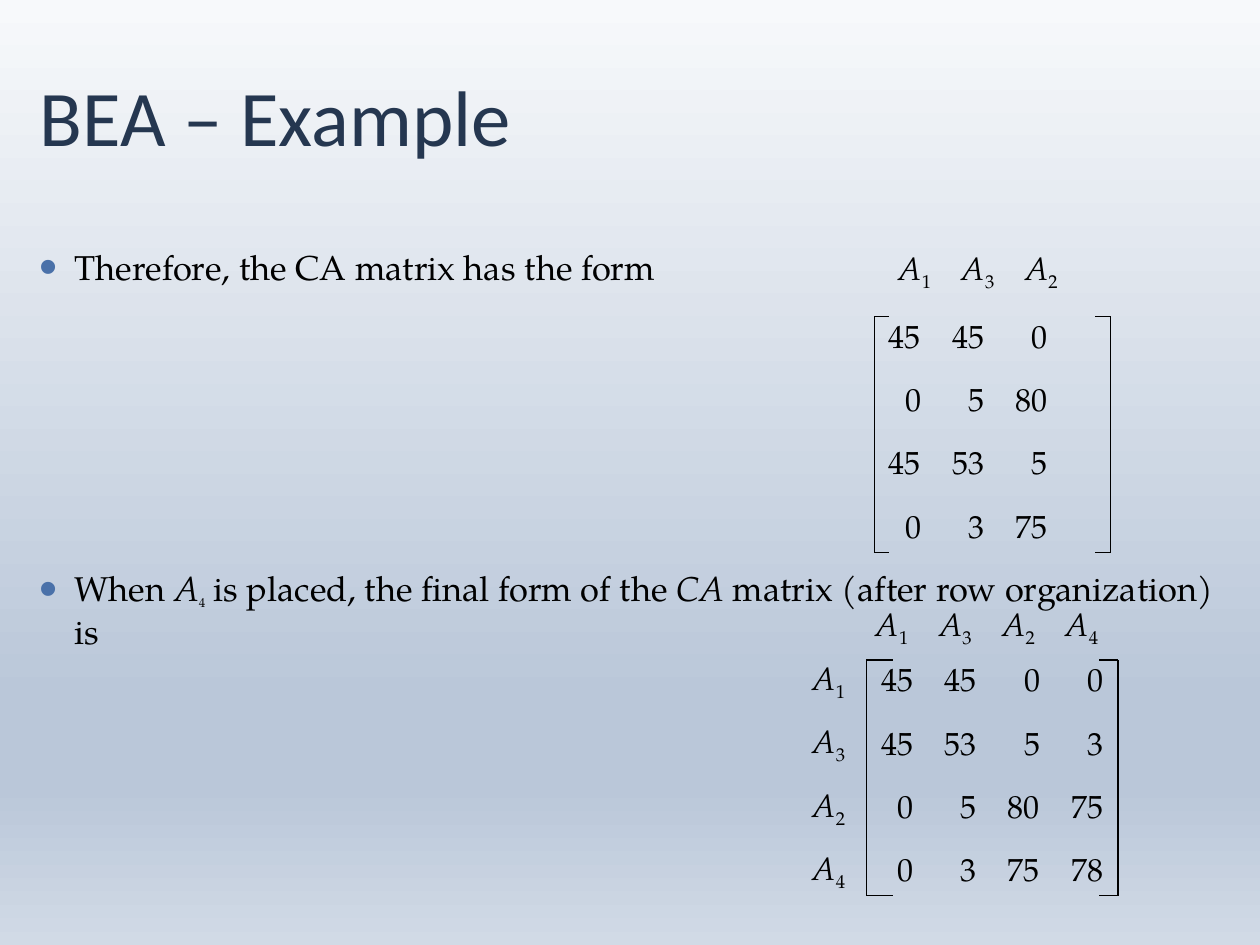
from lxml import etree
from pptx import Presentation
from pptx.dml.color import RGBColor
from pptx.enum.shapes import MSO_CONNECTOR as Connector
from pptx.enum.text import MSO_ANCHOR as Anchor, PP_ALIGN as Align
from pptx.oxml.ns import qn
from pptx.util import Pt

BLACK, NAVY, BLUE = "000000", "253750", "4A71A9"
SERIF, SANS = "TeX Gyre Pagella", "Calibri"
PITCH = 51.4  # distance between matrix rows and between columns
CELL_HEIGHT = 42


def color(value):
    return RGBColor.from_string(value)


def add_node(parent, tag, **attributes):
    return etree.SubElement(parent, qn(tag), attributes)


def attribute(number, sub_size=26):
    """Spans for an attribute name such as A1, with the number as a subscript."""
    return [("A", {"italic": True}), (number, {"size": Pt(sub_size), "sub": True})]


class SlideBuilder:
    def __init__(self, page):
        self.page = page

    def background(self, stops):
        fill = self.page.background.fill
        fill.gradient()
        fill.gradient_angle = 270
        stop_list = self.page.element.find(".//" + qn("a:gsLst"))
        for old_stop in list(stop_list):
            stop_list.remove(old_stop)
        for percent, value in stops:
            stop = add_node(stop_list, "a:gs", pos=str(percent * 1000))
            add_node(stop, "a:srgbClr", val=value)

    def box(self, left, top, width, height, insets=(10, 5), anchor=Anchor.TOP):
        frame = self.page.shapes.add_textbox(
            Pt(left), Pt(top), Pt(width), Pt(height)).text_frame
        side, edge = map(Pt, insets)
        values = {"word_wrap": True, "vertical_anchor": anchor,
                  "margin_left": side, "margin_right": side,
                  "margin_top": edge, "margin_bottom": edge}
        for name, value in values.items():
            setattr(frame, name, value)
        return frame

    def spans(self, para, pieces, size, font=SERIF, ink=BLACK):
        for text, changes in pieces:
            span = para.add_run()
            span.text = text
            values = {"name": font, "size": Pt(size), **changes}
            if values.pop("sub", False):
                span.font._element.set("baseline", "-25000")
            for name, value in values.items():
                setattr(span.font, name, value)
            span.font.color.rgb = color(ink)

    def title(self, text):
        frame = self.box(28, 35.3, 968, 126.7, (4.3, 4.3), Anchor.MIDDLE)
        para = frame.paragraphs[0]
        para.line_spacing = 0.9
        self.spans(para, [(text, {})], 64, SANS, NAVY)

    def bullets(self, items, gap):
        frame = self.box(27.4, 195.8, 968, 532.8, (4.3, 4.3))
        for index, pieces in enumerate(items):
            para = frame.add_paragraph() if index else frame.paragraphs[0]
            layout = para._p.get_or_add_pPr()
            layout.set("marL", str(Pt(28.8)))
            layout.set("indent", str(Pt(-28.8)))
            add_node(add_node(layout, "a:buClr"), "a:srgbClr", val=BLUE)
            add_node(layout, "a:buSzPct", val="150000")
            add_node(layout, "a:buFont", typeface="Arial")
            add_node(layout, "a:buChar", char="•")
            if index:
                para.space_before = Pt(gap)
            self.spans(para, pieces, 28)

    def cell(self, right, top, pieces, width=54, align=Align.RIGHT):
        para = self.box(right - width, top, width, CELL_HEIGHT).paragraphs[0]
        para.alignment = align
        self.spans(para, pieces, 26)

    def label(self, center, top, number):
        self.cell(center + 30, top, attribute(number), 60, Align.CENTER)

    def line(self, x1, y1, x2, y2):
        line = self.page.shapes.add_connector(
            Connector.STRAIGHT, Pt(x1), Pt(y1), Pt(x2), Pt(y2))
        line.line.color.rgb = color(BLACK)
        line.line.width = Pt(1)
        add_node(line._element.spPr, "a:effectLst")

    def bracket(self, x, top, bottom, serif):
        """Square bracket; a negative serif points left."""
        self.line(x, top, x, bottom)
        for y in (top, bottom):
            self.line(x, y, x + serif, y)

    def matrix(self, right, top, rows):
        """Numbers on a grid; right is the right edge of the first column."""
        for row, numbers in enumerate(rows):
            for column, number in enumerate(numbers):
                self.cell(right + column * PITCH, top + row * PITCH,
                          [(str(number), {})])


def main():
    deck = Presentation()
    deck.slide_width, deck.slide_height = Pt(1024), Pt(768)
    slide = SlideBuilder(deck.slides.add_slide(deck.slide_layouts[6]))
    slide.background([(0, "F7F9FB"), (74, "BAC7D9"),
                      (83, "BAC7D9"), (100, "D1DAE6")])
    slide.title("BEA – Example")
    slide.bullets([
        [("Therefore, the CA matrix has the form", {})],
        [("When ", {}), *attribute("4", 18),
         (" is placed, the final form of the ", {}), ("CA", {"italic": True}),
         (" matrix (after row organization) is", {})],
    ], gap=227.5)

    for column, number in enumerate("132"):
        slide.label(743.5 + column * PITCH, 196.6, number)
    slide.matrix(758.5, 252.2, [(45, 45, 0), (0, 5, 80), (45, 53, 5), (0, 3, 75)])
    slide.bracket(710.6, 257, 449.3, 12)
    slide.bracket(902.2, 257, 449.3, -12)

    for index, number in enumerate("1324"):
        slide.label(725 + index * PITCH, 486, number)
        slide.label(673.6, 530.4 + index * PITCH, number)
    slide.matrix(752.4, 531.4, [(45, 45, 0, 0), (45, 53, 5, 3),
                                (0, 5, 80, 75), (0, 3, 75, 78)])
    slide.bracket(704.2, 536.4, 728, 21.6)
    slide.bracket(908.6, 536.4, 728, -15.1)
    deck.save("out.pptx")


if __name__ == "__main__":
    main()
